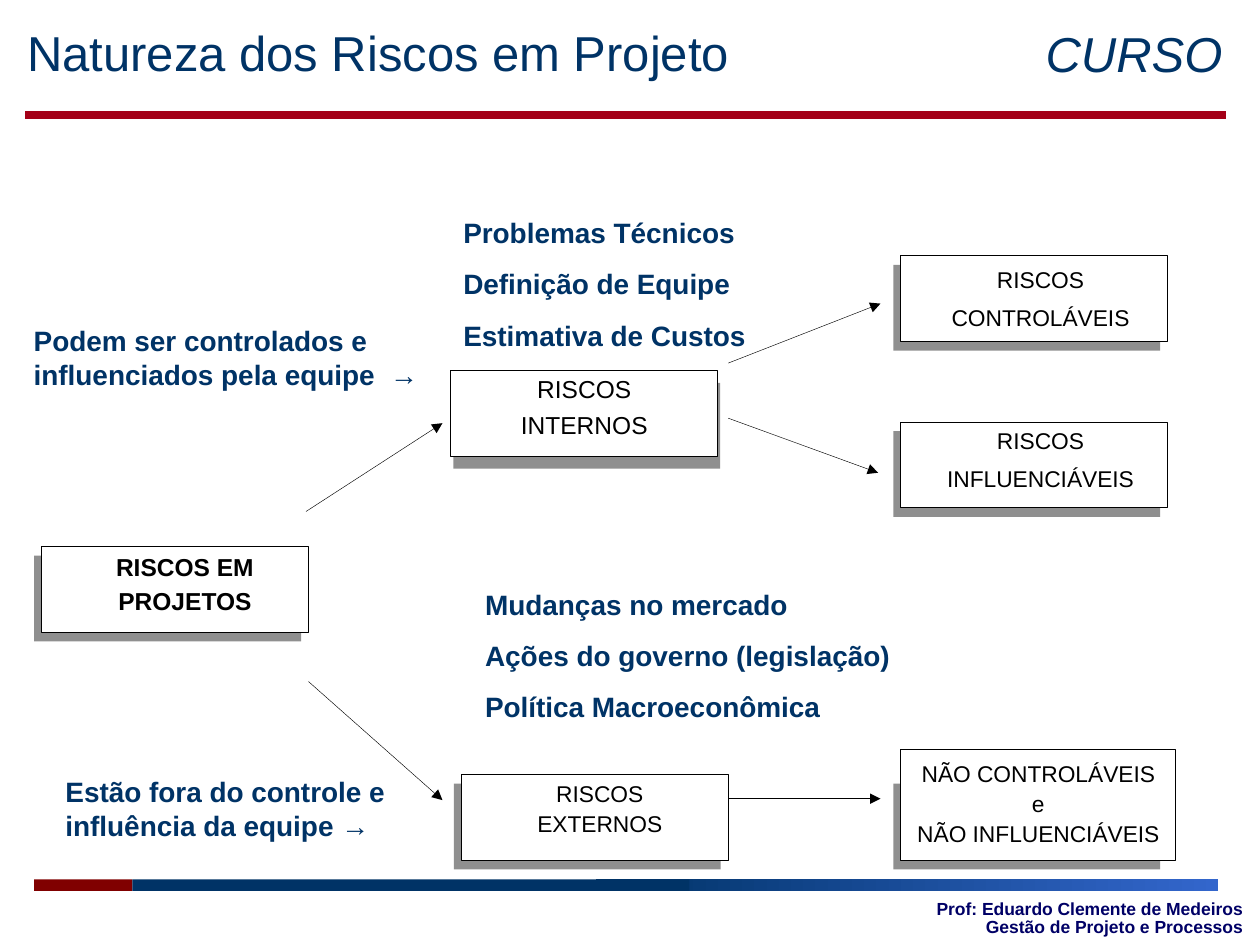
from lxml import etree
from pptx import Presentation
from pptx.dml.color import RGBColor
from pptx.enum.shapes import MSO_CONNECTOR, MSO_SHAPE
from pptx.enum.text import MSO_ANCHOR, PP_ALIGN
from pptx.oxml.ns import qn
from pptx.util import Cm, Pt

RECT, STRAIGHT = MSO_SHAPE.RECTANGLE, MSO_CONNECTOR.STRAIGHT
LEFT, CENTER, RIGHT = PP_ALIGN.LEFT, PP_ALIGN.CENTER, PP_ALIGN.RIGHT
TOP, MIDDLE = MSO_ANCHOR.TOP, MSO_ANCHOR.MIDDLE

NAVY = RGBColor(0x00, 0x33, 0x66)
BLUE = RGBColor(0x33, 0x66, 0xCC)
FOOTER_BLUE = RGBColor(0x00, 0x00, 0x66)
MAROON = RGBColor(0x80, 0x00, 0x00)
RED = RGBColor(0xA4, 0x00, 0x18)
GRAY = RGBColor(0x8F, 0x8F, 0x8F)
BLACK = RGBColor(0x00, 0x00, 0x00)
WHITE = RGBColor(0xFF, 0xFF, 0xFF)

# All lengths are in centimetres
BOX_W, BOX_H = 5.38, 1.73
BAR_Y, BAR_H = 17.73, 0.23
RULE = (0.51, 2.31, 24.71, 2.31)

# left, width, colours (two colours make a gradient)
BARS = [
    (0.69, 1.98, [MAROON]),
    (12.01, 12.55, [NAVY, BLUE]),
    (2.67, 11.23, [NAVY]),
]

HEADING = dict(size=Pt(28), color=NAVY)
NOTE = dict(size=Pt(16), bold=True, color=NAVY)
LABEL = dict(size=Pt(13), color=BLACK)
BIG_LABEL = dict(size=Pt(14), color=BLACK)

# at, lines, font, paragraph format, anchor
TEXTS = [
    ((20.09, 0.53, 4.8, 1.27), ["CURSO"], HEADING | dict(italic=True),
     dict(alignment=RIGHT, line_spacing=0.85), TOP),
    ((17.91, 18.14, 7.39, 0.79),
     ["Prof: Eduardo Clemente de Medeiros", "Gestão de Projeto e Processos"],
     dict(size=Pt(10), bold=True, color=FOOTER_BLUE),
     dict(alignment=RIGHT, line_spacing=0.85), MIDDLE),
    ((9.09, 4.22, 6.35, 3.0),
     ["Problemas Técnicos", "Definição de Equipe", "Estimativa de Custos"],
     NOTE, dict(space_before=Pt(10)), MIDDLE),
    ((9.53, 11.71, 8.89, 3.0),
     ["Mudanças no mercado", "Ações do governo (legislação)", "Política Macroeconômica"],
     NOTE, dict(space_before=Pt(10)), TOP),
    ((0.43, 6.4, 8.46, 1.63),
     ["Podem ser controlados e influenciados pela equipe  →"], NOTE, {}, TOP),
    ((1.07, 15.49, 7.19, 1.63),
     ["Estão fora do controle e influência da equipe →"], NOTE, {}, TOP),
    ((0.3, 0.33, 18.59, 1.45), ["Natureza dos Riscos em Projeto"], HEADING, {}, TOP),
]

# at, shadow offset, lines, font, gap between lines (pt), left and top inset
BOXES = [
    ((9.09, 7.47, BOX_W, BOX_H), (0.05, 0.25), ["RISCOS", "INTERNOS"],
     BIG_LABEL, 3.5, (0, 0.08)),
    ((18.16, 5.16, BOX_W, BOX_H), (-0.15, 0.18), ["RISCOS", "CONTROLÁVEIS"],
     LABEL, 6, (0.25, 0.2)),
    ((18.16, 8.51, BOX_W, BOX_H), (-0.15, 0.18), ["RISCOS", "INFLUENCIÁVEIS"],
     LABEL, 6, (0.25, 0.1)),
    ((0.84, 11.02, BOX_W, BOX_H), (-0.15, 0.18), ["RISCOS EM", "PROJETOS"],
     BIG_LABEL | dict(bold=True), 3, (0.4, 0.1)),
    ((9.3, 15.62, BOX_W, BOX_H), (-0.15, 0.18), ["RISCOS", "EXTERNOS"],
     LABEL, 1.5, (0.2, 0.1)),
    ((18.16, 15.11, 5.54, 2.24), (-0.15, 0.69),
     ["NÃO CONTROLÁVEIS", "e", "NÃO INFLUENCIÁVEIS"], LABEL, 1.5, (0, 0.2)),
]

# x1, y1, x2, y2
ARROWS = [
    (6.17, 10.31, 8.92, 8.53),
    (6.22, 13.74, 8.92, 16.13),
    (14.68, 16.1, 17.75, 16.1),
    (14.68, 8.43, 17.7, 9.53),
    (14.68, 7.32, 17.75, 6.12),
]


def add_rect(s, at, colors, outline=None):
    sp = s.shapes.add_shape(RECT, *map(Cm, at))
    sp.shadow.inherit = False
    if len(colors) == 1:
        sp.fill.solid()
        sp.fill.fore_color.rgb = colors[0]
    else:
        sp.fill.gradient()
        sp.fill.gradient_angle = 0
        for stop, color in zip(sp.fill.gradient_stops, colors):
            stop.color.rgb = color
    if outline is None:
        sp.line.fill.background()
    else:
        sp.line.color.rgb = outline
        sp.line.width = Pt(0.62)
    return sp


def add_line(s, ends, color, width, arrow=False):
    line = s.shapes.add_connector(STRAIGHT, *map(Cm, ends))
    line.line.color.rgb = color
    line.line.width = Pt(width)
    sp_pr = line._element.spPr
    if arrow:
        etree.SubElement(sp_pr.find(qn("a:ln")), qn("a:tailEnd"), type="triangle")
    etree.SubElement(sp_pr, qn("a:effectLst"))


def write(tf, lines, font, para):
    for i, text in enumerate(lines):
        p = tf.paragraphs[0] if i == 0 else tf.add_paragraph()
        for name, value in para.items():
            setattr(p, name, value)
        r = p.add_run()
        r.text = text
        r.font.name = "Arial"
        for name, value in font.items():
            if name == "color":
                r.font.color.rgb = value
            else:
                setattr(r.font, name, value)


def add_box(s, at, offset, lines, font, gap, insets):
    """Draw a labelled box over its offset grey backing."""
    x, y = at[0] + offset[0], at[1] + offset[1]
    add_rect(s, (x, y, BOX_W, BOX_H), [GRAY])
    tf = add_rect(s, at, [WHITE], BLACK).text_frame
    tf.vertical_anchor = TOP
    tf.margin_left, tf.margin_top = map(Cm, insets)
    tf.margin_right = tf.margin_bottom = 0
    write(tf, lines, font, dict(alignment=CENTER))
    for p in tf.paragraphs[1:]:
        p.space_before = Pt(gap)


def add_text(s, at, lines, font, para, anchor):
    tf = s.shapes.add_textbox(*map(Cm, at)).text_frame
    tf.word_wrap = True
    tf.vertical_anchor = anchor
    write(tf, lines, font, dict(alignment=LEFT) | para)


def main():
    prs = Presentation()
    prs.slide_width, prs.slide_height = Cm(25.4), Cm(19.05)
    s = prs.slides.add_slide(prs.slide_layouts[6])
    for left, width, colors in BARS:
        add_rect(s, (left, BAR_Y, width, BAR_H), colors)
    add_line(s, RULE, RED, 4.5)
    for box in BOXES:
        add_box(s, *box)
    for ends in ARROWS:
        add_line(s, ends, BLACK, 0.25, arrow=True)
    for text in TEXTS:
        add_text(s, *text)
    prs.save("out.pptx")


if __name__ == "__main__":
    main()
